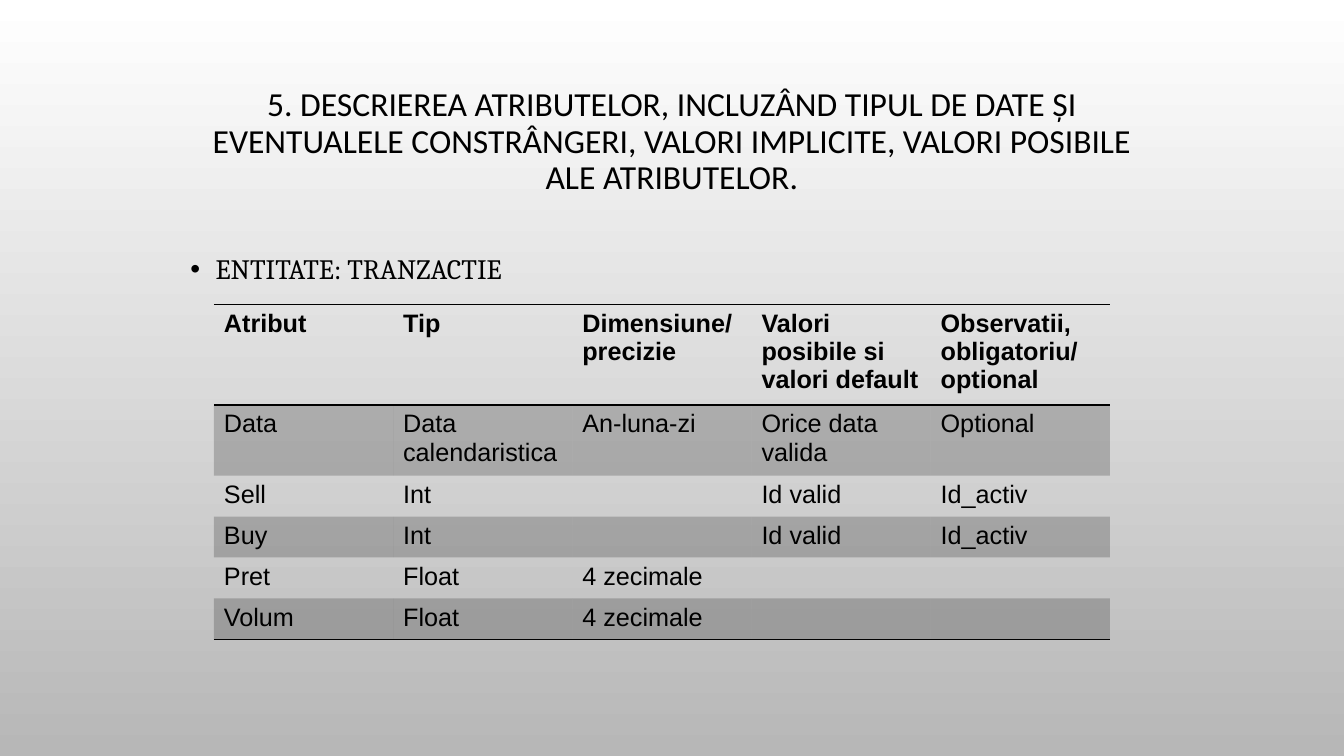
import pptx
import pptx.util
import pptx.dml.color
import pptx.enum.text
import pptx.oxml
import pptx.oxml.ns
import lxml.etree

Pt = pptx.util.Pt
RGB = pptx.dml.color.RGBColor
ALIGN = pptx.enum.text.PP_ALIGN
ANCHOR = pptx.enum.text.MSO_ANCHOR
qn = pptx.oxml.ns.qn

TITLE = ("5. DESCRIEREA ATRIBUTELOR, INCLUZÂND TIPUL DE DATE ȘI EVENTUALELE "
         "CONSTRÂNGERI, VALORI IMPLICITE, VALORI POSIBILE ALE ATRIBUTELOR.")
ENTITY = "ENTITATE: TRANZACTIE"
ROWS = [
    ("Atribut", "Tip", "Dimensiune/ precizie",
     "Valori posibile si valori default", "Observatii, obligatoriu/ optional"),
    ("Data", "Data calendaristica", "An-luna-zi", "Orice data valida", "Optional"),
    ("Sell", "Int", "", "Id valid", "Id_activ"),
    ("Buy", "Int", "", "Id valid", "Id_activ"),
    ("Pret", "Float", "4 zecimale", "", ""),
    ("Volum", "Float", "4 zecimale", "", ""),
]

BLACK = RGB(0, 0, 0)
WHITE = RGB(255, 255, 255)
GRAY = RGB(0xB7, 0xB7, 0xB7)
PLAIN = "{2D5ABB26-0587-4C30-8999-92F81FD0307C}"
LEFT, WIDTH = 128.9, 702
COL, ROW = 128, 29.2
INDENT = 18


def write(frame, text, font="Arial", size=18, bold=False, align=ALIGN.LEFT,
          space=None, bullet=False):
    frame.word_wrap = True
    para = frame.paragraphs[0]
    para.alignment = align
    para.line_spacing = space
    para.font.size = Pt(size)
    if bullet:
        props = para._p.get_or_add_pPr()
        props.set("marL", str(Pt(INDENT)))
        props.set("indent", str(-Pt(INDENT)))
        face = lxml.etree.SubElement(props, qn("a:buFont"))
        face.set("typeface", "Arial")
        mark = lxml.etree.SubElement(props, qn("a:buChar"))
        mark.set("char", "•")
        props.append(props.find(qn("a:defRPr")))
    if text:
        run = para.add_run()
        run.text = text
        run.font.name = font
        run.font.size = Pt(size)
        run.font.bold = bold
        run.font.color.rgb = BLACK


def rule(cell, side):
    props = cell._tc.get_or_add_tcPr()
    line = lxml.etree.SubElement(props, qn("a:" + side), w=str(Pt(1)))
    fill = lxml.etree.SubElement(line, qn("a:solidFill"))
    lxml.etree.SubElement(fill, qn("a:srgbClr"), val=str(BLACK))


def shade(cell):
    cell.fill.solid()
    cell.fill.fore_color.rgb = BLACK
    tint = cell._tc.tcPr.find(".//" + qn("a:solidFill") + "/" + qn("a:srgbClr"))
    for hue in cell._tc.tcPr.findall(qn("a:solidFill") + "/" + qn("a:srgbClr")):
        tint = hue
    lxml.etree.SubElement(tint, qn("a:alpha"), val="20000")


def main():
    deck = pptx.Presentation()
    deck.slide_width, deck.slide_height = Pt(960), Pt(540)
    slide = deck.slides.add_slide(deck.slide_layouts[6])

    back = slide.background.fill
    back.gradient()
    back.gradient_angle = 270
    for stop, color in zip(back.gradient_stops, (WHITE, GRAY)):
        stop.color.rgb = color

    title = slide.shapes.add_textbox(Pt(LEFT), Pt(51), Pt(WIDTH), Pt(101))
    title.text_frame.vertical_anchor = ANCHOR.MIDDLE
    write(title.text_frame, TITLE, font="Calibri", size=24,
          align=ALIGN.CENTER, space=0.9)

    body = slide.shapes.add_textbox(Pt(LEFT), Pt(171.4), Pt(WIDTH), Pt(297))
    write(body.text_frame, ENTITY, font="Cambria", size=20, space=1.2, bullet=True)

    count, wide = len(ROWS), len(ROWS[0])
    frame = slide.shapes.add_table(count, wide, Pt(152.8), Pt(217.3),
                                   Pt(COL * wide), Pt(ROW * count))
    table = frame.table
    table.horz_banding = False
    table._tbl.tblPr.find(qn("a:tableStyleId")).text = PLAIN
    for col in table.columns:
        col.width = Pt(COL)
    for i, words in enumerate(ROWS):
        table.rows[i].height = Pt(ROW)
        for j, word in enumerate(words):
            cell = table.cell(i, j)
            write(cell.text_frame, word, bold=i == 0)
            if i == 0:
                rule(cell, "lnT")
            if i in (0, count - 1):
                rule(cell, "lnB")
            if i % 2:
                shade(cell)
            else:
                cell.fill.background()

    deck.save("out.pptx")


if __name__ == "__main__":
    main()
